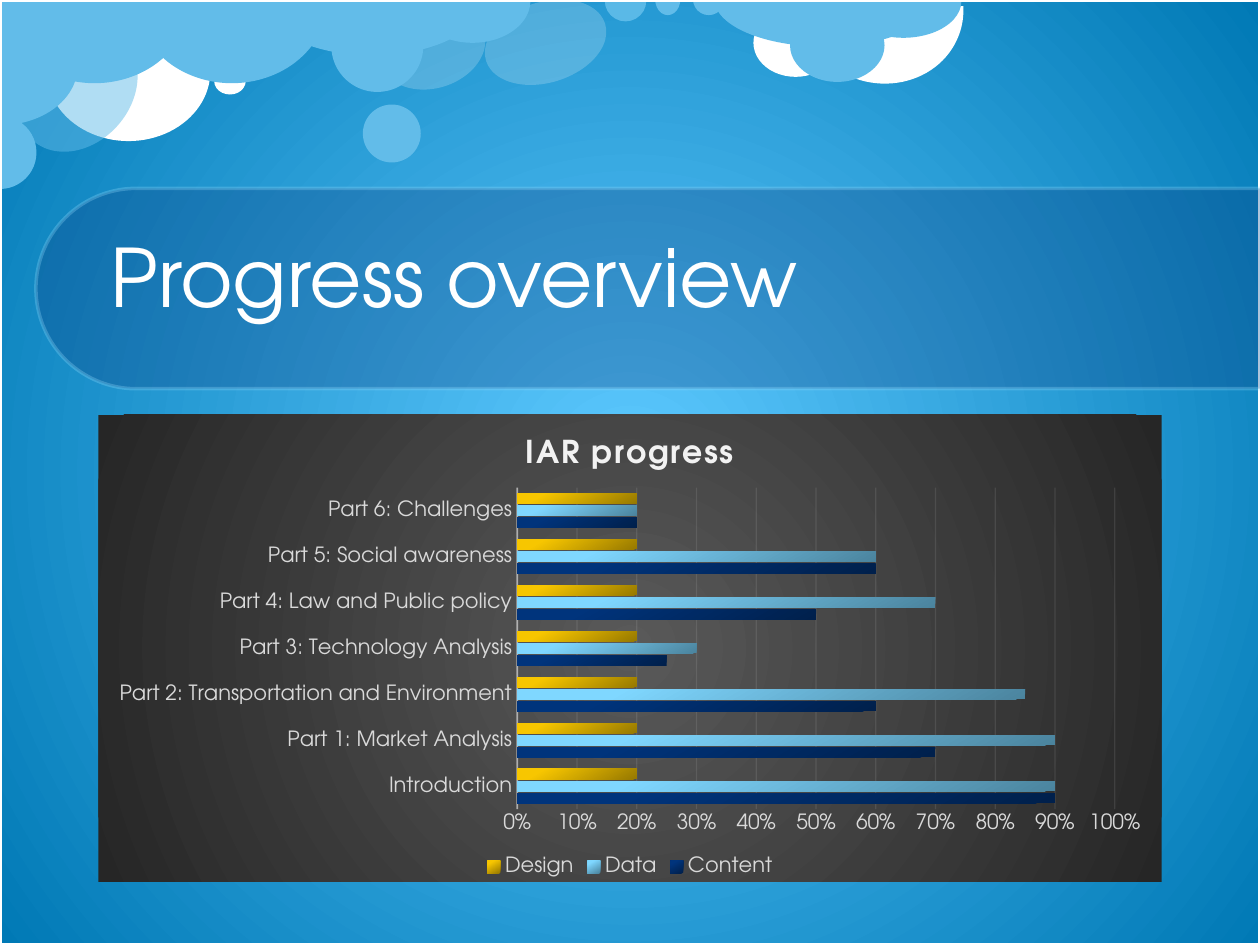
from lxml import etree
from pptx import Presentation
from pptx.chart.data import CategoryChartData
from pptx.dml.color import RGBColor
from pptx.enum import chart as ch, shapes, text
from pptx.oxml.ns import qn
from pptx.util import Inches, Pt

FONT = "TeX Gyre Adventor"
WHITE = RGBColor(0xFF, 0xFF, 0xFF)
CLOUD = RGBColor(0x62, 0xBC, 0xE9)
PALE = RGBColor(0x8F, 0xD9, 0xFB)
NAVY = RGBColor(0x07, 0x37, 0x79)
LABEL = RGBColor(0xD9, 0xD9, 0xD9)
LIGHT = RGBColor(0xF2, 0xF2, 0xF2)
SKY_STOPS = [(0, RGBColor(0x5D, 0xC9, 0xFF)), (100, RGBColor(0x00, 0x79, 0xB5))]
PANEL_STOPS = [(0, RGBColor(0x59, 0x59, 0x59)), (100, RGBColor(0x26, 0x26, 0x26))]

OVAL = shapes.MSO_SHAPE.OVAL
PIE = shapes.MSO_SHAPE.PIE
HALF = (0, 108)

CLOUDS = [
    (OVAL, (3.11, -0.05, 0.64, 0.86), WHITE, 20, 72.8, ()),
    (OVAL, (0.37, 0.01, 1.3, 1.11), WHITE, 100, 0, ()),
    (shapes.MSO_SHAPE.ARC, (6.39, -0.6, 1.21, 1.31), WHITE, 100, 106.5, (151.8, 44.48)),
    (OVAL, (5.98, 0.07, 0.67, 0.54), WHITE, 100, 0, ()),
    (PIE, (-0.01, -0.66, 1.52, 1.32), CLOUD, 100, 0, HALF),
    (PIE, (2.08, -0.44, 1.75, 0.88), CLOUD, 100, 0, HALF),
    (OVAL, (2.88, 0.83, 0.46, 0.46), CLOUD, 100, 0, ()),
    (OVAL, (0.19, 0.18, 0.85, 1.07), CLOUD, 50, 41.8, ()),
    (PIE, (-0.29, 0.92, 0.58, 0.58), CLOUD, 100, 270, HALF),
    (OVAL, (1.7, 0.54, 0.25, 0.21), WHITE, 100, 0, ()),
    (PIE, (1.08, -0.66, 1.52, 1.32), CLOUD, 100, 0, HALF),
    (PIE, (5.67, -0.38, 1.75, 0.75), CLOUD, 100, 0, HALF),
    (OVAL, (6.27, 0.07, 0.75, 0.58), CLOUD, 100, 0, ()),
    (PIE, (6.71, -0.28, 0.92, 0.58), CLOUD, 100, 0, HALF),
    (OVAL, (4.01, -0.16, 0.64, 0.99), WHITE, 20, 72.8, ()),
    (PIE, (4.8, -0.16, 0.33, 0.33), PALE, 50, 0, HALF),
    (PIE, (5.2, -0.13, 0.2, 0.25), CLOUD, 100, 0, HALF),
    (PIE, (5.5, -0.13, 0.25, 0.25), CLOUD, 100, 0, HALF),
    (OVAL, (2.63, 0, 0.73, 0.73), CLOUD, 100, 0, ()),
    (PIE, (3.29, -0.33, 0.92, 0.67), CLOUD, 100, 0, HALF),
    (PIE, (-0.47, -0.09, 0.93, 1.24), CLOUD, 100, 270, HALF),
]

PARTS = ["Introduction", "Part 1: Market Analysis",
         "Part 2: Transportation and Environment", "Part 3: Technology Analysis",
         "Part 4: Law and Public policy", "Part 5: Social awareness",
         "Part 6: Challenges"]
SERIES = [
    ("Content", (0.9, 0.7, 0.6, 0.25, 0.5, 0.6, 0.2),
     [(0, RGBColor(0x00, 0x20, 0x4C)), (80, RGBColor(0x00, 0x34, 0x7C)),
      (100, RGBColor(0x00, 0x34, 0x7D))]),
    ("Data", (0.9, 0.9, 0.85, 0.3, 0.7, 0.6, 0.2),
     [(0, RGBColor(0x4B, 0x84, 0x9E)), (80, RGBColor(0x7F, 0xD7, 0xFF)),
      (100, RGBColor(0x81, 0xD7, 0xFF))]),
    ("Design", (0.2,) * len(PARTS),
     [(0, RGBColor(0x97, 0x79, 0x00)), (80, RGBColor(0xF7, 0xC6, 0x00)),
      (100, RGBColor(0xF8, 0xC7, 0x00))]),
]


def box(at):
    return [Inches(v) for v in at]


def gradient(stops, angle=None):
    grad = etree.Element(qn("a:gradFill"), rotWithShape="1")
    gs_list = etree.SubElement(grad, qn("a:gsLst"))
    for pos, color in stops:
        gs = etree.SubElement(gs_list, qn("a:gs"), pos=str(pos * 1000))
        etree.SubElement(gs, qn("a:srgbClr"), val=str(color))
    if angle is None:
        circle = etree.SubElement(grad, qn("a:path"), path="circle")
        etree.SubElement(circle, qn("a:fillToRect"),
                         dict.fromkeys("ltrb", "50000"))
    else:
        etree.SubElement(grad, qn("a:lin"), ang=str(angle * 60000), scaled="0")
    return grad


def swap_solid(parent, grad):
    solid = parent.find(qn("a:solidFill"))
    parent.replace(solid, grad)


def set_alpha(element, percent):
    if percent < 100:
        color = next(element.iter(qn("a:srgbClr")))
        etree.SubElement(color, qn("a:alpha"), val=str(percent * 1000))


def set_line(line, color, width, alpha=100):
    line.color.rgb = color
    line.width = Pt(width)
    set_alpha(line._ln, alpha)


def set_font(font, size, color, bold=False):
    font.name, font.size, font.bold = FONT, Pt(size), bold
    font.color.rgb = color


def add_shape(s, kind, at, color=None, alpha=100, rotation=0, adj=()):
    sp = s.shapes.add_shape(kind, *box(at))
    sp.shadow.inherit = False
    sp.rotation = rotation
    for i, value in enumerate(adj):
        sp.adjustments[i] = value
    if color is None:
        sp.fill.background()
    else:
        sp.fill.solid()
        sp.fill.fore_color.rgb = color
        set_alpha(sp._element.spPr.find(qn("a:solidFill")), alpha)
    sp.line.fill.background()
    return sp


def add_background(s):
    s.background.fill.solid()
    swap_solid(s._element.find(".//" + qn("p:bgPr")), gradient(SKY_STOPS))
    for cloud in CLOUDS:
        add_shape(s, *cloud)
    frame = add_shape(s, shapes.MSO_SHAPE.RECTANGLE, (0, 0, 10, 7.5))
    set_line(frame.line, WHITE, 2)
    band = add_shape(s, shapes.MSO_SHAPE.ROUND_2_SAME_RECTANGLE,
                     (4.35, -2.57, 1.59, 9.72), NAVY, 30, 270, (0.5, 0))
    set_line(band.line, PALE, 2, 30)


def add_title(s, words):
    tf = s.shapes.add_textbox(*box((0.78, 1.39, 8.44, 1.58))).text_frame
    tf.word_wrap = True
    tf.vertical_anchor = text.MSO_ANCHOR.MIDDLE
    p = tf.paragraphs[0]
    p.text = words
    p.line_spacing = Pt(56)
    set_font(p.font, 46, WHITE)


def add_progress_chart(s):
    data = CategoryChartData(number_format="0%")
    data.categories = PARTS
    for name, values, _ in SERIES:
        data.add_series(name, values)
    chart = s.shapes.add_chart(ch.XL_CHART_TYPE.BAR_CLUSTERED,
                               *box((0.78, 3.29, 8.44, 3.71)), data).chart
    chart.font.name, chart.font.size = FONT, Pt(10)
    panel = etree.Element(qn("c:spPr"))
    panel.append(gradient(PANEL_STOPS))
    etree.SubElement(etree.SubElement(panel, qn("a:ln")), qn("a:noFill"))
    chart._chartSpace.find(qn("c:txPr")).addprevious(panel)

    p = chart.chart_title.text_frame.paragraphs[0]
    r = p.add_run()
    r.text = "IAR progress"
    set_font(r.font, 18, LIGHT, True)
    r.font._element.set("spc", "100")
    chart.chart_title.include_in_layout = False

    chart.has_legend = True
    chart.legend.position = ch.XL_LEGEND_POSITION.BOTTOM
    chart.legend.include_in_layout = False
    set_font(chart.legend.font, 12, LABEL)

    for axis in (chart.category_axis, chart.value_axis):
        axis.major_tick_mark = axis.minor_tick_mark = ch.XL_TICK_MARK.NONE
        set_font(axis.tick_labels.font, 12, LABEL)
    set_line(chart.category_axis.format.line, LIGHT, 1, 54)
    values = chart.value_axis
    values.minimum_scale, values.maximum_scale, values.major_unit = 0, 1, 0.1
    values.tick_labels.number_format = "0%"
    values.tick_labels.number_format_is_linked = False
    values.format.line.fill.background()
    set_line(values.major_gridlines.format.line, LIGHT, 0.75, 10)

    plot = chart.plots[0]
    plot.vary_by_categories = False
    plot.gap_width, plot.overlap = 115, -20
    for series, (_, _, stops) in zip(plot.series, SERIES):
        series.format.fill.solid()
        swap_solid(series._element.find(qn("c:spPr")), gradient(stops, 240))


def main():
    prs = Presentation()
    prs.slide_width, prs.slide_height = Inches(10), Inches(7.5)
    s = prs.slides.add_slide(prs.slide_layouts[6])
    add_background(s)
    add_title(s, "Progress overview")
    add_progress_chart(s)
    prs.save("out.pptx")


if __name__ == "__main__":
    main()
